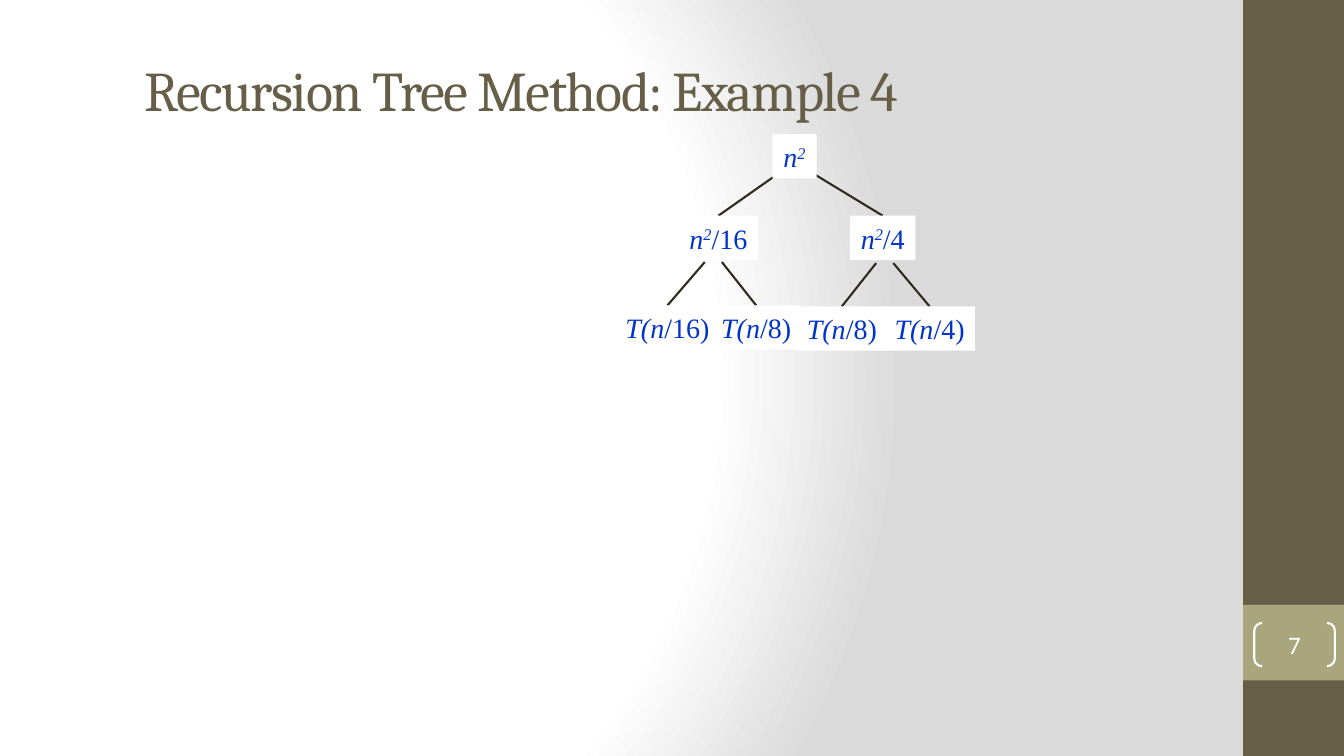
from dataclasses import dataclass

from lxml import etree
from pptx import Presentation
from pptx.dml.color import RGBColor
from pptx.enum.shapes import MSO_CONNECTOR, MSO_SHAPE
from pptx.enum.text import MSO_ANCHOR, MSO_AUTO_SIZE, PP_ALIGN
from pptx.oxml import parse_xml
from pptx.oxml.ns import nsdecls, qn
from pptx.util import Inches, Pt

RECTANGLE = MSO_SHAPE.RECTANGLE
DOUBLE_BRACKET = MSO_SHAPE.DOUBLE_BRACKET
STRAIGHT = MSO_CONNECTOR.STRAIGHT
MIDDLE = MSO_ANCHOR.MIDDLE
LEFT, CENTER = PP_ALIGN.LEFT, PP_ALIGN.CENTER
FIT_SHAPE, NO_FIT = MSO_AUTO_SIZE.SHAPE_TO_FIT_TEXT, MSO_AUTO_SIZE.NONE
TITLE_ONLY = 5
TOP_SIDE = 0
NODE_HEIGHT = 0.44

COLORS = {
    "white": "FFFFFF",
    "shade": "DADADA",
    "brown": "675E47",
    "olive": "A9A57C",
    "edge": "2F2B20",
    "formula": "0033CC",
}
TITLE_FONT = {"name": "Cambria", "size": Pt(40), "bold": False}
NUMBER_FONT = {"name": "Calibri", "size": Pt(18)}
FORMULA_FONT = {"name": "Times New Roman", "size": Pt(20)}


@dataclass
class Node:
    runs: tuple
    left: float
    top: float
    width: float
    branches: tuple = ()


def color(name):
    return RGBColor.from_string(COLORS[name])


def format_font(font, values, color_name):
    for name, value in values.items():
        setattr(font, name, value)
    font.color.rgb = color(color_name)


def add_block(slide, kind, box, fill=None):
    shape = slide.shapes.add_shape(kind, *map(Inches, box))
    shape.shadow.inherit = False
    shape.line.fill.background()
    if fill:
        shape.fill.solid()
        shape.fill.fore_color.rgb = color(fill)
    else:
        shape.fill.background()
    return shape


def set_background(slide):
    slide.background.fill.solid()
    properties = slide._element.cSld.find(qn("p:bg")).find(qn("p:bgPr"))
    stops = "".join(
        f'<a:gs pos="{position}"><a:srgbClr val="{COLORS[name]}"/></a:gs>'
        for position, name in ((0, "white"), (75000, "white"), (100000, "shade"))
    )
    gradient = parse_xml(
        f'<a:gradFill rotWithShape="1" {nsdecls("a")}><a:gsLst>{stops}</a:gsLst>'
        '<a:path path="circle">'
        '<a:fillToRect l="20000" t="50000" r="100000" b="50000"/>'
        "</a:path></a:gradFill>"
    )
    properties.replace(properties[0], gradient)


def add_title(slide, box, text):
    title = slide.shapes.title
    title.left, title.top, title.width, title.height = map(Inches, box)
    frame = title.text_frame
    frame.vertical_anchor = MIDDLE
    frame.auto_size = NO_FIT
    paragraph = frame.paragraphs[0]
    paragraph.alignment = LEFT
    run = paragraph.add_run()
    run.text = text
    format_font(run.font, TITLE_FONT, "brown")
    run.font._element.set("spc", "-100")


def add_sidebar(slide, box, number):
    left, top, width, height = box
    add_block(slide, RECTANGLE, box, "brown")
    add_block(slide, RECTANGLE, (left, top + 6, width, 0.75), "olive")
    bracket = add_block(slide, DOUBLE_BRACKET, (left + 0.11, top + 6.18, 0.8, 0.43))
    bracket.adjustments[0] = 0.18
    bracket.line.color.rgb = color("white")
    bracket.line.width = Pt(1.5)
    frame = bracket.text_frame
    frame.margin_left = frame.margin_top = frame.margin_right = frame.margin_bottom = 0
    frame.vertical_anchor = MIDDLE
    paragraph = frame.paragraphs[0]
    paragraph.alignment = CENTER
    run = paragraph.add_run()
    run.text = number
    format_font(run.font, NUMBER_FONT, "white")


def add_edge(slide, start, end):
    connector = slide.shapes.add_connector(STRAIGHT, *map(Inches, start + end))
    connector.line.color.rgb = color("edge")
    connector.line.width = Pt(1.5)
    etree.SubElement(connector._element.spPr, qn("a:effectLst"))
    return connector


def add_node(slide, origin, node):
    left, top = origin[0] + node.left, origin[1] + node.top
    edges = []
    for (start_x, start_y), child in node.branches:
        start = (origin[0] + start_x, origin[1] + start_y)
        end = (origin[0] + child.left + child.width / 2, origin[1] + child.top)
        edges.append(add_edge(slide, start, end))

    shape = add_block(slide, RECTANGLE, (left, top, node.width, NODE_HEIGHT), "white")
    frame = shape.text_frame
    frame.word_wrap = False
    frame.auto_size = FIT_SHAPE
    paragraph = frame.paragraphs[0]
    paragraph.alignment = CENTER
    for text, style in node.runs:
        run = paragraph.add_run()
        run.text = text
        format_font(run.font, FORMULA_FONT, "formula")
        run.font.italic = style != "plain"
        if style == "power":
            run.font._element.set("baseline", "30000")

    for edge, (_, child) in zip(edges, node.branches):
        edge.end_connect(add_node(slide, origin, child), TOP_SIDE)
    return shape


def square(divisor=""):
    runs = (("n", "italic"), ("2", "power"))
    return runs + ((divisor, "plain"),) if divisor else runs


def call(divisor):
    return (("T(n", "italic"), (f"/{divisor})", "plain"))


def add_recursion_tree(slide, box):
    left_half = Node(square("/16"), 0.63, 0.81, 0.79, (
        ((0.89, 1.27), Node(call(16), 0, 1.7, 1.04)),
        ((1.06, 1.27), Node(call(8), 0.95, 1.7, 0.9)),
    ))
    right_half = Node(square("/4"), 2.33, 0.81, 0.65, (
        ((2.59, 1.28), Node(call(8), 1.8, 1.71, 0.9)),
        ((2.76, 1.28), Node(call(4), 2.67, 1.71, 0.9)),
    ))
    root = Node(square(), 1.56, 0, 0.44, (
        ((1.65, 0.37), left_half),
        ((1.93, 0.37), right_half),
    ))
    add_node(slide, box[:2], root)


def main():
    presentation = Presentation()
    presentation.slide_width = Inches(13.33)
    presentation.slide_height = Inches(7.5)
    slide = presentation.slides.add_slide(presentation.slide_layouts[TITLE_ONLY])
    set_background(slide)
    add_sidebar(slide, (12.33, 0, 1, 7.5), "7")
    add_title(slide, (1.33, 0.42, 9.9, 0.92), "Recursion Tree Method: Example 4")
    add_recursion_tree(slide, (6.1, 1.33, 3.57, 2.15))
    presentation.save("out.pptx")


if __name__ == "__main__":
    main()
